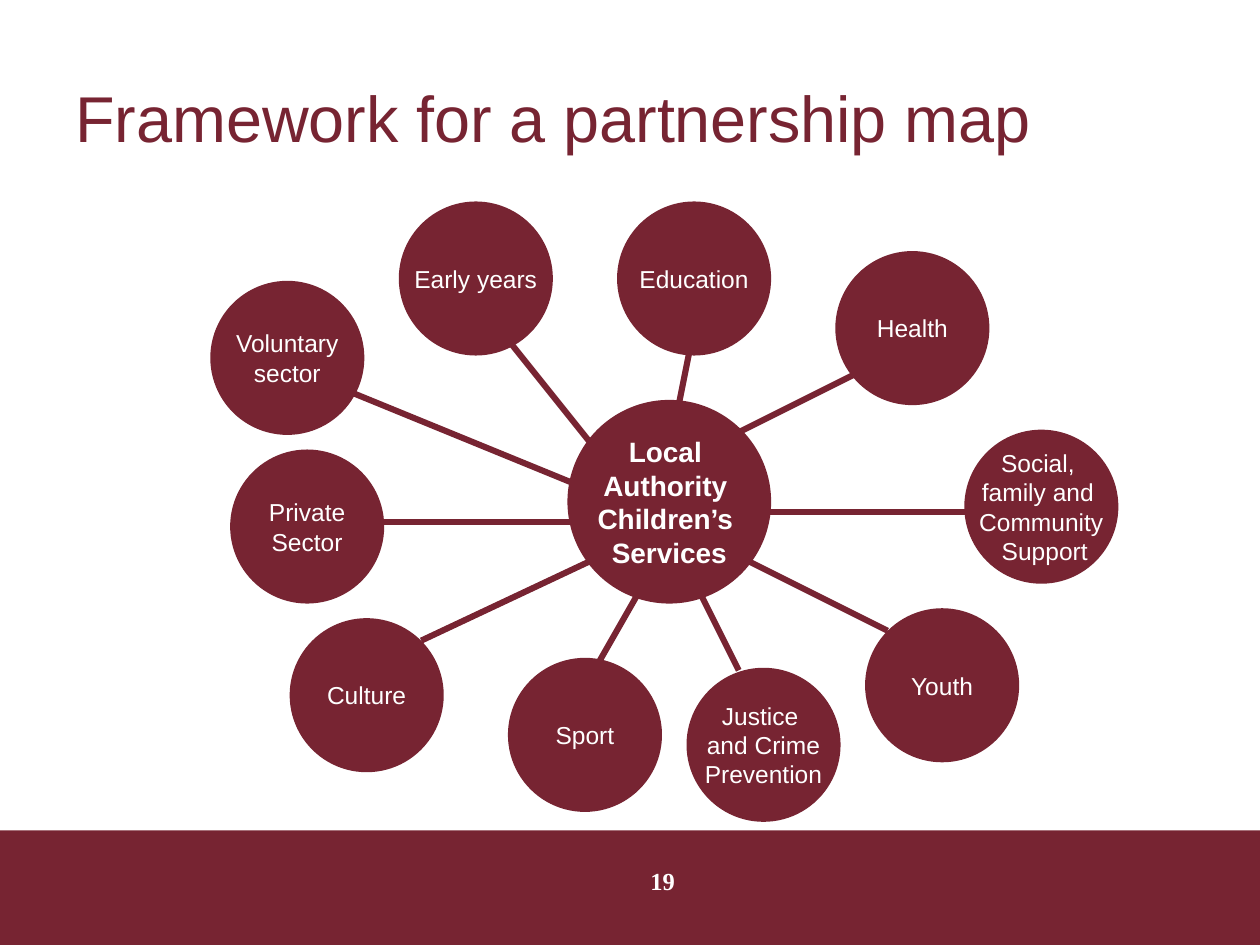
from dataclasses import dataclass
from lxml.etree import SubElement
from pptx import Presentation
from pptx.dml.color import RGBColor
from pptx.enum.shapes import MSO_CONNECTOR as Connector, MSO_SHAPE as Shape
from pptx.enum.text import MSO_ANCHOR as Anchor, PP_ALIGN as Align
from pptx.oxml.ns import qn
from pptx.util import Inches, Mm, Pt


@dataclass(frozen=True)
class Theme:
    maroon: RGBColor = RGBColor(0x77, 0x24, 0x32)
    white: RGBColor = RGBColor(0xFF, 0xFF, 0xFF)
    sans: str = "Arial"
    serif: str = "Times New Roman"
    title_size: int = 37
    hub_size: int = 16
    label_size: int = 14
    outline: float = 3
    spoke: float = 3.5


theme = Theme()

# Map grid: 2 mm cells, counted from the map's top left corner
CELL = Mm(2)
MAP_LEFT, MAP_TOP = Inches(1.69), Inches(1.62)
PARTNER_CELLS, HUB_CELLS = 15, 20


def grid_point(column, row):
    return MAP_LEFT + column * CELL, MAP_TOP + row * CELL


def write(shape, text, size, color, font=theme.sans, bold=False,
          align=Align.CENTER, anchor=Anchor.MIDDLE, wrap=True):
    frame = shape.text_frame
    frame.word_wrap = wrap
    frame.vertical_anchor = anchor
    frame.text = text
    for para in frame.paragraphs:
        para.alignment = align
        for span in para.runs:
            span.font.name = font
            span.font.size = Pt(size)
            span.font.bold = bold
            span.font.color.rgb = color


deck = Presentation()
deck.slide_width, deck.slide_height = Inches(10), Inches(7.5)
page = deck.slides.add_slide(deck.slide_layouts[6])
shapes = page.shapes

# Footer band
band_top = Inches(6.59)
band = shapes.add_shape(Shape.RECTANGLE, 0, band_top, deck.slide_width,
                        deck.slide_height - band_top)
band.shadow.inherit = False
band.fill.solid()
band.fill.fore_color.rgb = theme.maroon
band.line.fill.background()

# Title
title = shapes.add_textbox(Inches(0.5), Inches(0.3), Inches(9), Inches(1.25))
write(title, "Framework for a partnership map", theme.title_size,
      theme.maroon, align=Align.LEFT)

# Hub and partners: label, column, row
hub = ("Local \nAuthority \nChildren’s \nServices", 36, 20)
partners = [
    ("Culture", 8, 42),
    ("Private\nSector", 2, 25),
    ("Sport", 30, 46),
    ("Justice \nand Crime\nPrevention", 48, 47),
    ("Youth", 66, 41),
    ("Social, \nfamily and \nCommunity\n Support", 76, 23),
    ("Health", 63, 5),
    ("Education", 41, 0),
    ("Voluntary\nsector", 0, 8),
    ("Early years", 19, 0),
]
for label, column, row in [hub, *partners]:
    is_hub = label == hub[0]
    size = CELL * (HUB_CELLS if is_hub else PARTNER_CELLS)
    circle = shapes.add_shape(Shape.OVAL, *grid_point(column, row), size, size)
    circle.shadow.inherit = False
    circle.fill.solid()
    circle.fill.fore_color.rgb = theme.maroon
    circle.line.color.rgb = theme.maroon
    circle.line.width = Pt(theme.outline)
    write(circle, label, theme.hub_size if is_hub else theme.label_size,
          theme.white, bold=is_hub, wrap=False)

# Spokes: hub end, partner end
spokes = [
    ((56, 31), (76, 31)),
    ((53, 23), (65, 17)),
    ((47, 20), (48, 15)),
    ((38, 24), (30, 14)),
    ((36, 28), (14, 19)),
    ((36, 32), (17, 32)),
    ((38, 36), (21, 44)),
    ((54, 36), (68, 43)),
    ((43, 39), (39, 46)),
    ((49, 39), (53, 47)),
]
for hub_end, partner_end in spokes:
    spoke = shapes.add_connector(Connector.STRAIGHT, *grid_point(*hub_end),
                                 *grid_point(*partner_end))
    spoke.line.color.rgb = theme.maroon
    spoke.line.width = Pt(theme.spoke)
    SubElement(spoke._element.spPr, qn("a:effectLst"))

# Page number
number = shapes.add_textbox(Inches(4.84), Inches(6.82), Inches(0.84), Inches(0.52))
write(number, "19", theme.label_size, theme.white, font=theme.serif,
      bold=True, anchor=Anchor.TOP)

deck.save("out.pptx")
